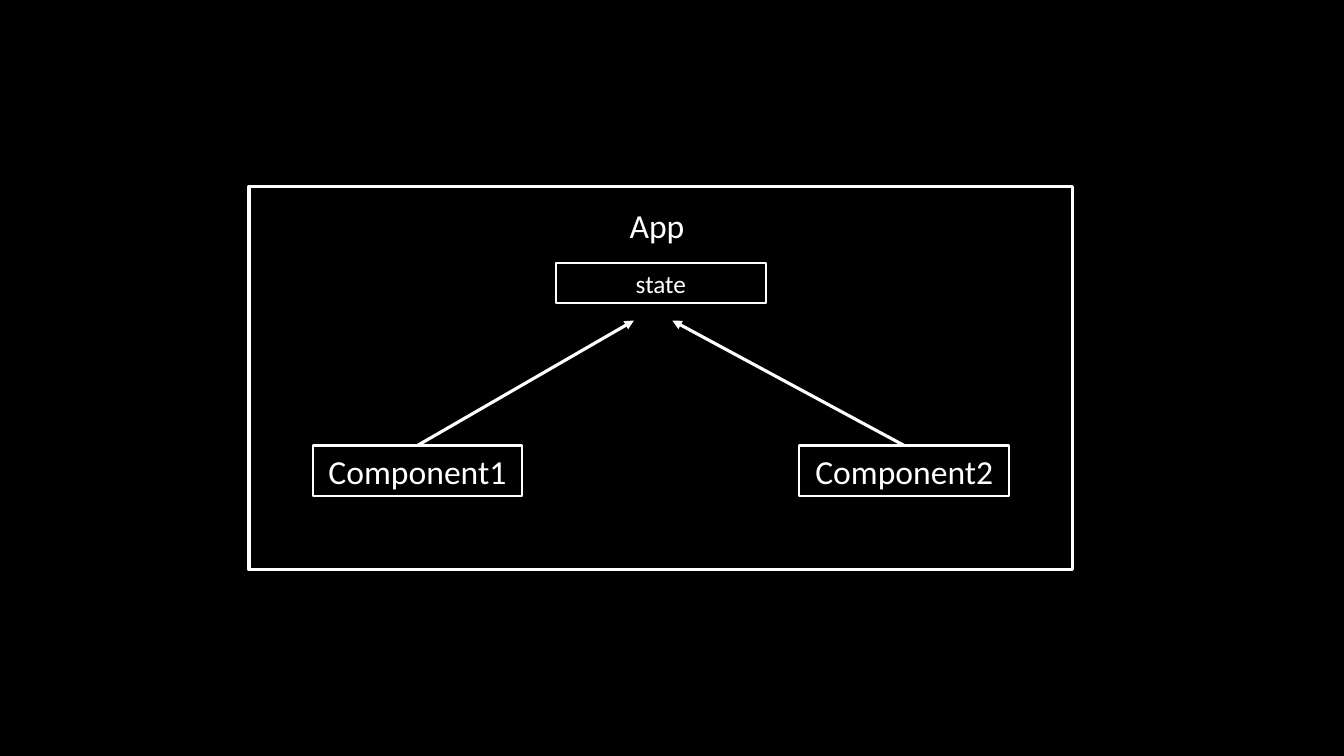
from dataclasses import dataclass

from lxml import etree
from pptx import Presentation
from pptx.dml.color import RGBColor
from pptx.enum.shapes import MSO_CONNECTOR, MSO_SHAPE
from pptx.enum.text import MSO_ANCHOR, PP_ALIGN
from pptx.oxml.ns import qn
from pptx.util import Inches, Pt

RECT = MSO_SHAPE.RECTANGLE
STRAIGHT = MSO_CONNECTOR.STRAIGHT
CENTER = PP_ALIGN.CENTER
MIDDLE = MSO_ANCHOR.MIDDLE

WHITE, BLACK = "FFFFFF", "000000"
FONT = "Calibri"
THIN, THICK = 1.5, 2.25

# Lengths are percent of the slide's width (x) or height (y)
AXIS = 49.17
SPREAD = 18.11
BOX_W = 15.6
LOW_TOP = 58.93
TEXT_H = 6.67
TIP_Y = 42.4


@dataclass
class Box:
    mid: float
    top: float
    width: float
    height: float
    text: str = ""
    size: int = 24
    line: float = THIN
    fill: str = BLACK


@dataclass
class Arrow:
    start: float
    tip: float


BOXES = [
    Box(AXIS - SPREAD, LOW_TOP, BOX_W, TEXT_H, "Component1"),
    Box(AXIS + SPREAD, LOW_TOP, BOX_W, TEXT_H, "Component2"),
    Box(AXIS, 34.8, BOX_W, 5.33, "state", size=18),
    Box(AXIS, 24.67, 61.28, 50.67, line=THICK, fill=""),
    Box(AXIS, 26.4, 7.95, TEXT_H, "App ", line=0),
]
ARROWS = [
    Arrow(AXIS - SPREAD, AXIS - 2),
    Arrow(AXIS + SPREAD, AXIS + 0.86),
]

deck = Presentation()
deck.slide_width, deck.slide_height = Inches(13.33), Inches(7.5)
slide = deck.slides.add_slide(deck.slide_layouts[6])


def color(code: str) -> RGBColor:
    return RGBColor.from_string(code)


def across(share: float) -> int:
    return round(deck.slide_width * share / 100)


def down(share: float) -> int:
    return round(deck.slide_height * share / 100)


def paint(line, width: float) -> None:
    line.color.rgb = color(WHITE)
    line.width = Pt(width)


def draw_box(box: Box) -> None:
    shape = slide.shapes.add_shape(
        RECT, across(box.mid - box.width / 2), down(box.top),
        across(box.width), down(box.height))
    shape.shadow.inherit = False
    if box.fill:
        shape.fill.solid()
        shape.fill.fore_color.rgb = color(box.fill)
    else:
        shape.fill.background()
    if box.line:
        paint(shape.line, box.line)
    else:
        shape.line.fill.background()
    if box.text:
        frame = shape.text_frame
        frame.word_wrap = True
        frame.vertical_anchor = MIDDLE
        para = frame.paragraphs[0]
        para.alignment = CENTER
        run = para.add_run()
        run.text = box.text
        run.font.name = FONT
        run.font.size = Pt(box.size)
        run.font.color.rgb = color(WHITE)


def draw_arrow(arrow: Arrow) -> None:
    link = slide.shapes.add_connector(
        STRAIGHT, across(arrow.start), down(LOW_TOP),
        across(arrow.tip), down(TIP_Y))
    paint(link.line, THICK)
    # Arrowhead, and no shadow
    props = link._element.spPr
    etree.SubElement(props.find(qn("a:ln")), qn("a:tailEnd"), type="triangle")
    etree.SubElement(props, qn("a:effectLst"))


# Background
back = slide.background.fill
back.solid()
back.fore_color.rgb = color(BLACK)

# App frame, its state and the components
for box in BOXES:
    draw_box(box)

# Components point up to the state
for arrow in ARROWS:
    draw_arrow(arrow)

deck.save("out.pptx")
